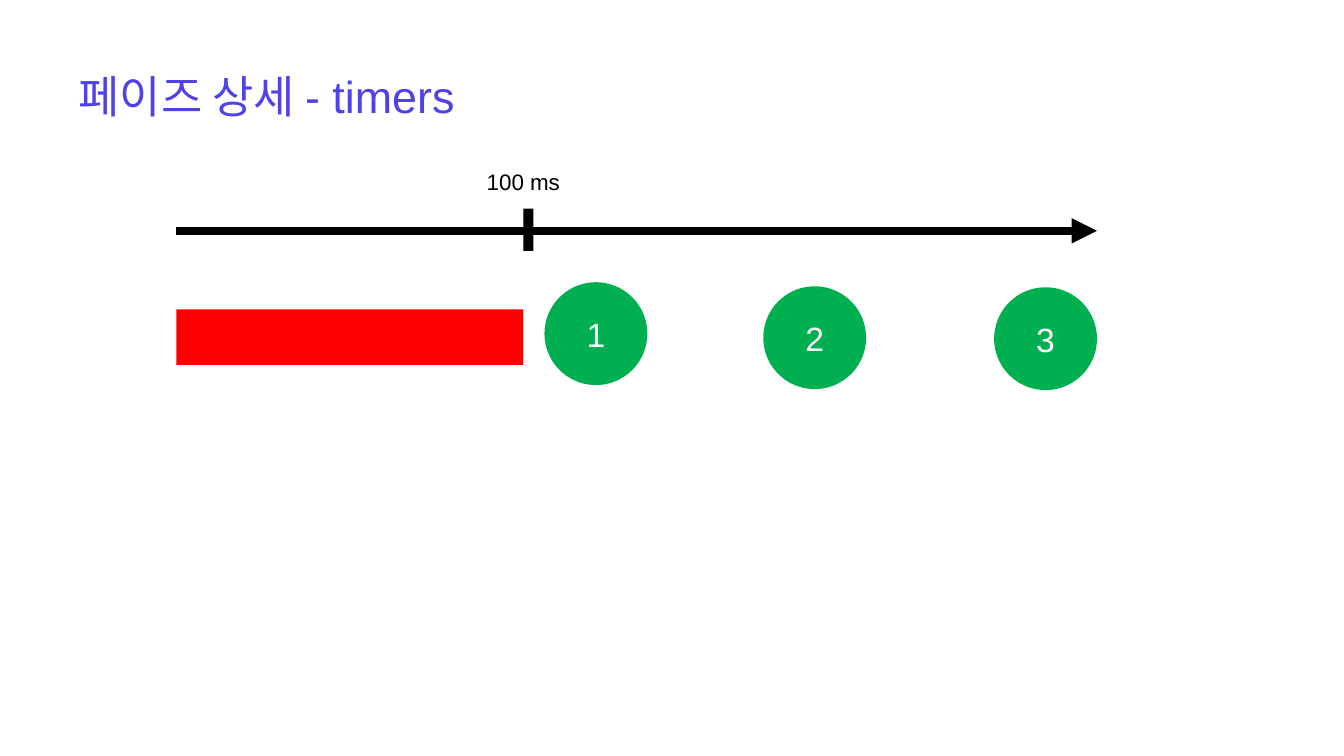
from dataclasses import dataclass

from lxml.etree import SubElement
from pptx import Presentation
from pptx.dml.color import RGBColor
from pptx.enum.shapes import MSO_CONNECTOR, MSO_SHAPE
from pptx.enum.text import MSO_ANCHOR, MSO_AUTO_SIZE, PP_ALIGN
from pptx.oxml.ns import qn
from pptx.shapes.autoshape import Shape
from pptx.slide import Slide
from pptx.util import Inches, Pt

FONT = "Arial"
BLACK, WHITE = "000000", "FFFFFF"
RED, GREEN, VIOLET = "FF0000", "00B050", "4F42E6"
TIMELINE_LEFT, TIMELINE_RIGHT, TIMELINE_Y = 1.75, 10.88, 2.29
CIRCLE_SIZE = 1.02


@dataclass
class Block:
    kind: MSO_SHAPE
    left: float
    top: float
    width: float
    height: float
    fill: str
    label: str = ""


def color(value: str) -> RGBColor:
    return RGBColor.from_string(value)


def write_text(shape: Shape, text: str, *, size: int, fill: str,
               align: PP_ALIGN = PP_ALIGN.CENTER,
               anchor: MSO_ANCHOR = MSO_ANCHOR.TOP) -> None:
    frame = shape.text_frame
    frame.word_wrap = True
    frame.auto_size = MSO_AUTO_SIZE.NONE
    frame.vertical_anchor = anchor
    paragraph = frame.paragraphs[0]
    paragraph.alignment = align
    run = paragraph.add_run()
    run.text = text
    run.font.name = FONT
    run.font.size = Pt(size)
    run.font.color.rgb = color(fill)


def add_block(slide: Slide, block: Block) -> None:
    shape = slide.shapes.add_shape(
        block.kind, Inches(block.left), Inches(block.top),
        Inches(block.width), Inches(block.height))
    shape.shadow.inherit = False
    shape.fill.solid()
    shape.fill.fore_color.rgb = color(block.fill)
    shape.line.fill.background()
    if block.label:
        write_text(shape, block.label, size=24, fill=WHITE, anchor=MSO_ANCHOR.MIDDLE)


def add_timeline(slide: Slide) -> None:
    arrow = slide.shapes.add_connector(
        MSO_CONNECTOR.STRAIGHT, Inches(TIMELINE_LEFT), Inches(TIMELINE_Y),
        Inches(TIMELINE_RIGHT), Inches(TIMELINE_Y))
    arrow.line.color.rgb = color(BLACK)
    arrow.line.width = Pt(6)
    properties = arrow.element.spPr
    SubElement(properties.find(qn("a:ln")), qn("a:tailEnd"), type="triangle")
    SubElement(properties, qn("a:effectLst"))


def main() -> None:
    presentation = Presentation()
    presentation.slide_width = Inches(13.33)
    presentation.slide_height = Inches(7.5)
    slide = presentation.slides.add_slide(presentation.slide_layouts[5])

    # Title
    title = slide.shapes.title
    title.left, title.top = Inches(0.68), Inches(0.63)
    title.width, title.height = Inches(4.01), Inches(0.64)
    write_text(title, "페이즈 상세 - timers", size=32, fill=VIOLET, align=PP_ALIGN.LEFT)

    # Timeline with its time label
    add_timeline(slide)
    time_label = slide.shapes.add_textbox(
        Inches(4.6), Inches(1.62), Inches(1.18), Inches(0.37))
    write_text(time_label, "100 ms", size=16, fill=BLACK)

    # Tick mark, waiting period and timer callbacks
    blocks = [
        Block(MSO_SHAPE.RECTANGLE, 5.19, 2.07, 0.1, 0.42, BLACK),
        Block(MSO_SHAPE.RECTANGLE, TIMELINE_LEFT, 3.07, 3.44, 0.55, RED),
    ]
    circle_corners = [(5.4, 2.8), (7.57, 2.84), (9.86, 2.85)]
    for number, (left, top) in enumerate(circle_corners, start=1):
        blocks.append(Block(MSO_SHAPE.OVAL, left, top, CIRCLE_SIZE, CIRCLE_SIZE,
                            GREEN, str(number)))
    for block in blocks:
        add_block(slide, block)

    presentation.save("out.pptx")


if __name__ == "__main__":
    main()
